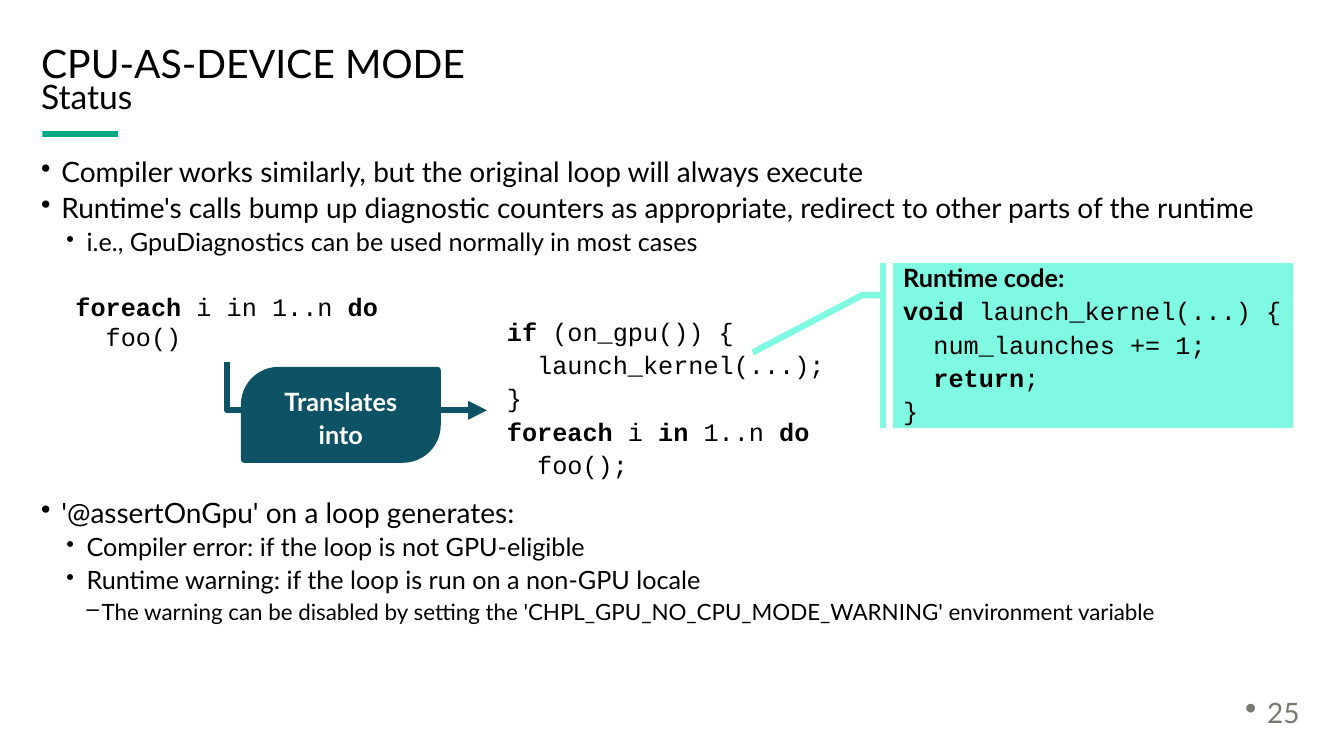
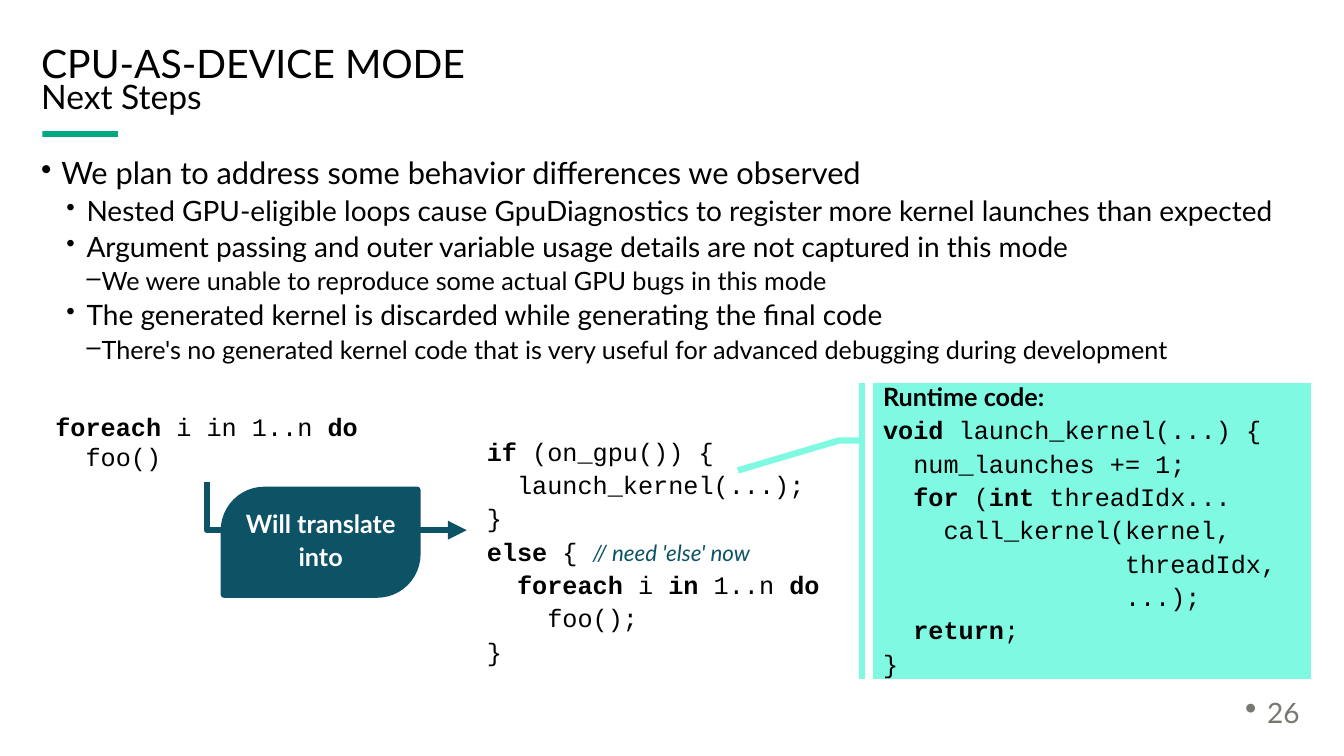
from lxml import etree
from pptx import Presentation
from pptx.dml.color import RGBColor
from pptx.enum import shapes, text
from pptx.oxml import ns
from pptx.util import Inches, Pt

HUES = {"black": "000000", "white": "FFFFFF", "green": "01A982",
        "deep": "0D5265", "mint": "7FF9E2", "gray": "787871"}
SANS, MONO = "Lato", "Courier New"
CHAR = 0.15
LEVELS = [(0.2, 0.2, "•", 100), (0.45, 0.2, "•", 90), (0.6, 0.15, "–", 100)]

LOOP = [(0, "*foreach *i in 1..n *do*"), (2, "foo()")]
GUARD = [(0, "*if* (on_gpu()) {"), (2, "launch_kernel(...);"), (0, "}")]
LAUNCH = [(0, "*void *launch_kernel(...) {"), (2, "num_launches += 1;")]
LEAVE = [(2, "*return*;"), (0, "}")]

STATUS = {
    "sub": "Status", "page": 25, "size": 20,
    "points": [
        (0, "Compiler works similarly, but the original loop will always execute"),
        (0, "Runtime's calls bump up diagnostic counters as appropriate, "
            "redirect to other parts of the runtime"),
        (1, "i.e., GpuDiagnostics can be used normally in most cases"),
        (0, "'@assertOnGpu' on a loop generates:", 173),
        (1, "Compiler error: if the loop is not GPU-eligible"),
        (1, "Runtime warning: if the loop is run on a non-GPU locale"),
        (2, "The warning can be disabled by setting the "
            "'CHPL_GPU_NO_CPU_MODE_WARNING' environment variable")],
    "at": (0.65, 2.78),
    "label": ["Translates", "into"], "tall": 0.89,
    "result": GUARD + [(0, "*foreach *i *in* 1..n *do*"), (2, "foo();")],
    "wide": 3.37,
    "runtime": LAUNCH + LEAVE,
    "panel": (3.96, 1.64), "tip": (0.541, -0.352)}

NEXT = {
    "sub": "Next Steps", "page": 26, "size": 22,
    "points": [
        (0, "We plan to address some behavior differences we observed"),
        (1, "Nested GPU-eligible loops cause GpuDiagnostics to register more "
            "kernel launches than expected"),
        (1, "Argument passing and outer variable usage details are not "
            "captured in this mode"),
        (2, "We were unable to reproduce some actual GPU bugs in this mode"),
        (1, "The generated kernel is discarded while generating the final code"),
        (2, "There's no generated kernel code that is very useful for advanced "
            "debugging during development")],
    "at": (0.45, 3.97),
    "label": ["Will translate", "into"], "tall": 1.04,
    "result": GUARD + [(0, "*else* { ", "// need 'else' now"),
                       (2, "*foreach *i *in* 1..n *do*"),
                       (4, "foo();"), (0, "}")],
    "wide": 3.52,
    "runtime": LAUNCH + [(2, "*for* (*int *threadIdx..."),
                         (4, "call_kernel(kernel,"),
                         (16, "threadIdx,"), (16, "...);")] + LEAVE,
    "panel": (4.34, 2.94), "tip": (0.295, -0.309)}


def hue(name):
    """Return the named colour."""
    return RGBColor.from_string(HUES[name])


def setup(frame, inset=True, anchor=text.MSO_ANCHOR.TOP):
    """Set wrapping, anchor and insets of a text frame."""
    frame.word_wrap = True
    frame.vertical_anchor = anchor
    if inset:
        frame.margin_left = frame.margin_right = Inches(0.1)
        frame.margin_top = frame.margin_bottom = Inches(0.1)
    return frame


def box(slide, x, y, w, h, **style):
    """Add a text box and return its frame."""
    area = slide.shapes.add_textbox(Inches(x), Inches(y), Inches(w), Inches(h))
    return setup(area.text_frame, **style)


def shape(slide, kind, x, y, w, h, color, line=None):
    """Add a flat preset shape."""
    form = slide.shapes.add_shape(kind, Inches(x), Inches(y), Inches(w), Inches(h))
    form.shadow.inherit = False
    form.fill.solid()
    form.fill.fore_color.rgb = hue(color)
    if line:
        form.line.color.rgb = hue(color)
        form.line.width = Pt(line)
    else:
        form.line.fill.background()
    return form


def bullet(para, left, hang, mark, scale):
    """Give a paragraph a hanging bullet."""
    props = para._p.get_or_add_pPr()
    props.set("marL", str(Inches(left)))
    props.set("indent", str(-Inches(hang)))
    etree.SubElement(props, ns.qn("a:buSzPct"), val=str(scale * 1000))
    etree.SubElement(props, ns.qn("a:buChar"), char=mark)


def write(frame, words, size, color="black", font=SANS, before=4, lead=0.9, mark=None):
    """Append a paragraph in which asterisks enclose bold words."""
    para = frame.paragraphs[-1]
    if para.runs:
        para = frame.add_paragraph()
    if mark:
        bullet(para, *mark)
    para.alignment = text.PP_ALIGN.LEFT
    para.line_spacing = lead
    para.space_before = Pt(before)
    para.font.name = font
    para.font.size = Pt(size)
    para.font.color.rgb = hue(color)
    for i, part in enumerate(words.split("*")):
        if part:
            run = para.add_run()
            run.text = part
            if i % 2:
                run.font.bold = True
    return para


def code(frame, lines, before=4, lead=19.8):
    """Write code lines, each with its depth in characters."""
    for depth, words, *note in lines:
        para = write(frame, words, 18, font=MONO, before=before, lead=Pt(lead))
        para._p.get_or_add_pPr().set("marL", str(Inches(depth * CHAR)))
        for remark in note:
            run = para.add_run()
            run.text = remark
            run.font.name = SANS
            run.font.size = Pt(16)
            run.font.italic = True
            run.font.color.rgb = hue("deep")


def header(slide, sub, page):
    """Place title, subtitle, accent bar and page number."""
    mid = text.MSO_ANCHOR.MIDDLE
    shape(slide, shapes.MSO_SHAPE.RECTANGLE, 0.42, 1.3, 0.75, 0.06, "green")
    write(box(slide, 0.31, 0.43, 12.5, 0.44, anchor=mid), "CPU-AS-DEVICE MODE", 28, before=0)
    write(box(slide, 0.31, 0.77, 12.61, 0.42, anchor=mid), sub, 24)
    foot = box(slide, 12.25, 6.89, 0.75, 0.4, inset=False, anchor=mid)
    write(foot, str(page), 20, "gray", before=0, mark=(0.22, 0.22, "•", 120))


def body(slide, points, size):
    """Write the bullet list, two points smaller at each level."""
    frame = box(slide, 0.31, 1.47, 12.61, 5.2)
    for level, words, *gap in points:
        write(frame, words, size - 2 * level, before=gap[0] if gap else 4,
              mark=LEVELS[level])


def elbow(slide, x, y, w, h):
    """Draw an arrow that goes down, then right."""
    left, top = x + (w - h) / 2, y + (h - w) / 2
    arrow = slide.shapes.add_connector(
        shapes.MSO_CONNECTOR.ELBOW, Inches(left), Inches(top),
        Inches(left + h), Inches(top + w))
    arrow.line.color.rgb = hue("deep")
    arrow.line.width = Pt(4.5)
    props = arrow._element.spPr
    props.xfrm.set("rot", "16200000")
    props.xfrm.set("flipH", "1")
    props.find(ns.qn("a:prstGeom")).set("prst", "bentConnector2")
    etree.SubElement(arrow.line._get_or_add_ln(), ns.qn("a:tailEnd"), type="triangle")
    etree.SubElement(props, ns.qn("a:effectLst"))


def badge(slide, x, y, h, label):
    """Place the label on the arrow."""
    form = shape(slide, shapes.MSO_SHAPE.ROUND_2_DIAG_RECTANGLE, x, y, 1.92, h, "deep", 4.5)
    form.adjustments[0] = 0.387
    frame = setup(form.text_frame)
    frame.auto_size = text.MSO_AUTO_SIZE.SHAPE_TO_FIT_TEXT
    for words in label:
        para = write(frame, words, 18, "white")
        para.alignment = text.PP_ALIGN.CENTER
        para.font.bold = True


def panel(slide, x, y, size, tip, lines):
    """Place the runtime code in a callout."""
    form = shape(slide, shapes.MSO_SHAPE.LINE_CALLOUT_2_ACCENT_BAR, x, y, *size, "mint", 4.5)
    for i, value in enumerate((0.194, -0.026, 0.194, -0.078, *tip)):
        form.adjustments[i] = value
    frame = setup(form.text_frame, anchor=text.MSO_ANCHOR.MIDDLE)
    write(frame, "*Runtime code:*", 18)
    code(frame, lines)


def flow(slide, x, y, data):
    """Show how the loop is translated, from its top left corner."""
    code(box(slide, x + 4.28, y + 0.28, data["wide"], 1.8), data["result"])
    code(box(slide, x, y, 3.22, 0.81), LOOP, before=0, lead=22)
    elbow(slide, x + 1.6, y + 0.81, 2.58, 0.48)
    badge(slide, x + 1.77, y + 0.89, data["tall"], data["label"])
    panel(slide, x + 8.21, y - 0.17, data["panel"], data["tip"], data["runtime"])


def main():
    """Build the slides and save them."""
    deck = Presentation()
    deck.slide_width, deck.slide_height = Inches(13.33), Inches(7.5)
    for data in (STATUS, NEXT):
        slide = deck.slides.add_slide(deck.slide_layouts[6])
        header(slide, data["sub"], data["page"])
        body(slide, data["points"], data["size"])
        flow(slide, *data["at"], data)
    deck.save("out.pptx")


if __name__ == "__main__":
    main()
